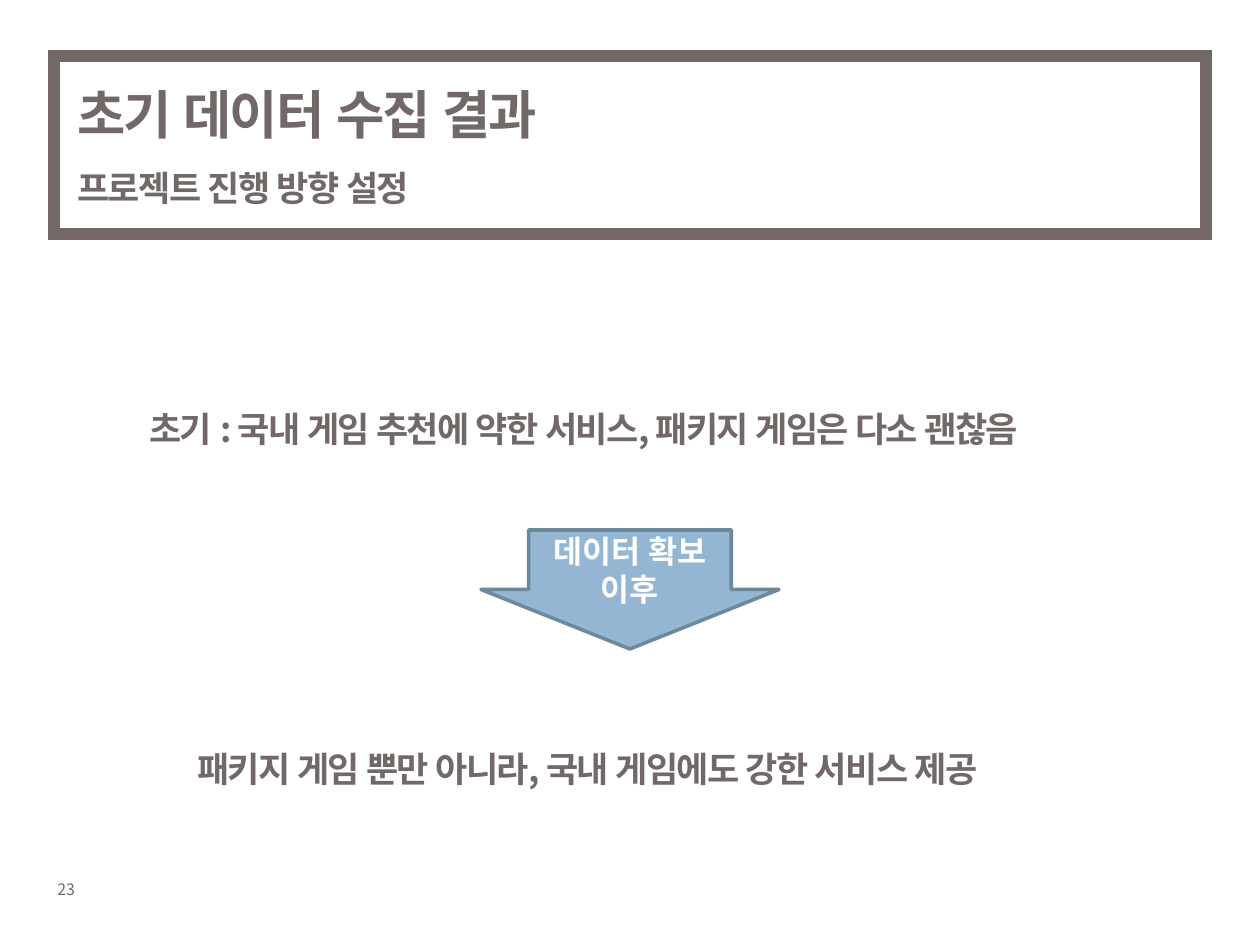
"""Build the slide on the project direction after the first data collection."""
from pptx import Presentation
from pptx import util as u
from pptx.dml.color import RGBColor
from pptx.enum import shapes, text
from pptx.oxml import ns
from lxml import etree

SCALE = 914400 / 126
FONT = "Noto Sans CJK KR"
HUES = {"ink": "726868", "blue": "94B6D2", "edge": "6D879B", "white": "FFFFFF"}


def px(size):
    return u.Emu(round(size * SCALE))


def hue(name):
    return RGBColor.from_string(HUES[name])


def write(par, words, size=20, color="ink", bold=True, lead=1.2, track=0,
          gap=0, align=text.PP_ALIGN.LEFT):
    par.alignment = align
    par.line_spacing = u.Pt(round(size * lead, 1))
    par.space_before = u.Pt(gap)
    run = par.add_run()
    run.text = words
    font = run.font
    font.name, font.size, font.bold = FONT, u.Pt(size), bold
    font.color.rgb = hue(color)
    props = run._r.get_or_add_rPr()
    props.set("lang", "ko-KR")
    if track:
        props.set("spc", str(track * 100))
    etree.SubElement(props, ns.qn("a:ea")).set("typeface", FONT)


class Deck:
    def __init__(self):
        self.show = Presentation()
        self.show.slide_width, self.show.slide_height = px(1260), px(945)
        self.slide = self.show.slides.add_slide(self.show.slide_layouts[6])

    def label(self, area, lines, anchor=text.MSO_ANCHOR.TOP):
        frame = self.slide.shapes.add_textbox(*map(px, area)).text_frame
        frame.word_wrap = True
        frame.vertical_anchor = anchor
        for i, (words, style) in enumerate(lines):
            par = frame.add_paragraph() if i else frame.paragraphs[0]
            write(par, words, **style)

    def shape(self, kind, area, line, width, fill=None):
        item = self.slide.shapes.add_shape(kind, *map(px, area))
        item.shadow.inherit = False
        if fill:
            item.fill.solid()
            item.fill.fore_color.rgb = hue(fill)
        else:
            item.fill.background()
        item.line.color.rgb = hue(line)
        item.line.width = u.Pt(width)
        return item

    def frame(self, area):
        box = self.shape(shapes.MSO_SHAPE.RECTANGLE, area, "ink", 7)
        edge = box.line._get_or_add_ln()
        etree.SubElement(edge, ns.qn("a:miter")).set("lim", "800000")

    def arrow(self, area, words):
        item = self.shape(shapes.MSO_SHAPE.DOWN_ARROW, area, "edge", 2, "blue")
        item.adjustments[0], item.adjustments[1] = 0.68, 0.5
        frame = item.text_frame
        frame.word_wrap = True
        frame.margin_top, frame.margin_bottom = px(2), px(0)
        frame.vertical_anchor = text.MSO_ANCHOR.MIDDLE
        write(frame.paragraphs[0], words, size=18, color="white",
              align=text.PP_ALIGN.CENTER)


def main():
    deck = Deck()
    body = {"lead": 1.8, "track": -1}
    deck.label((45, 874, 66, 32), [("23", {"size": 9, "bold": False})])
    deck.label((65, 56, 903, 179), [
        ("초기 데이터 수집 결과", {"size": 30, "track": -1}),
        ("프로젝트 진행 방향 설정", {"track": -1, "gap": 12}),
    ], text.MSO_ANCHOR.MIDDLE)
    deck.frame((54, 56, 1152, 178))
    deck.label((137, 380, 985, 77),
               [("초기 : 국내 게임 추천에 약한 서비스, 패키지 게임은 다소 괜찮음", body)])
    deck.arrow((481, 530, 298, 119), "데이터 확보 이후")
    deck.label((185, 720, 890, 77),
               [("패키지 게임 뿐만 아니라, 국내 게임에도 강한 서비스 제공", body)])
    deck.show.save("out.pptx")


if __name__ == "__main__":
    main()
